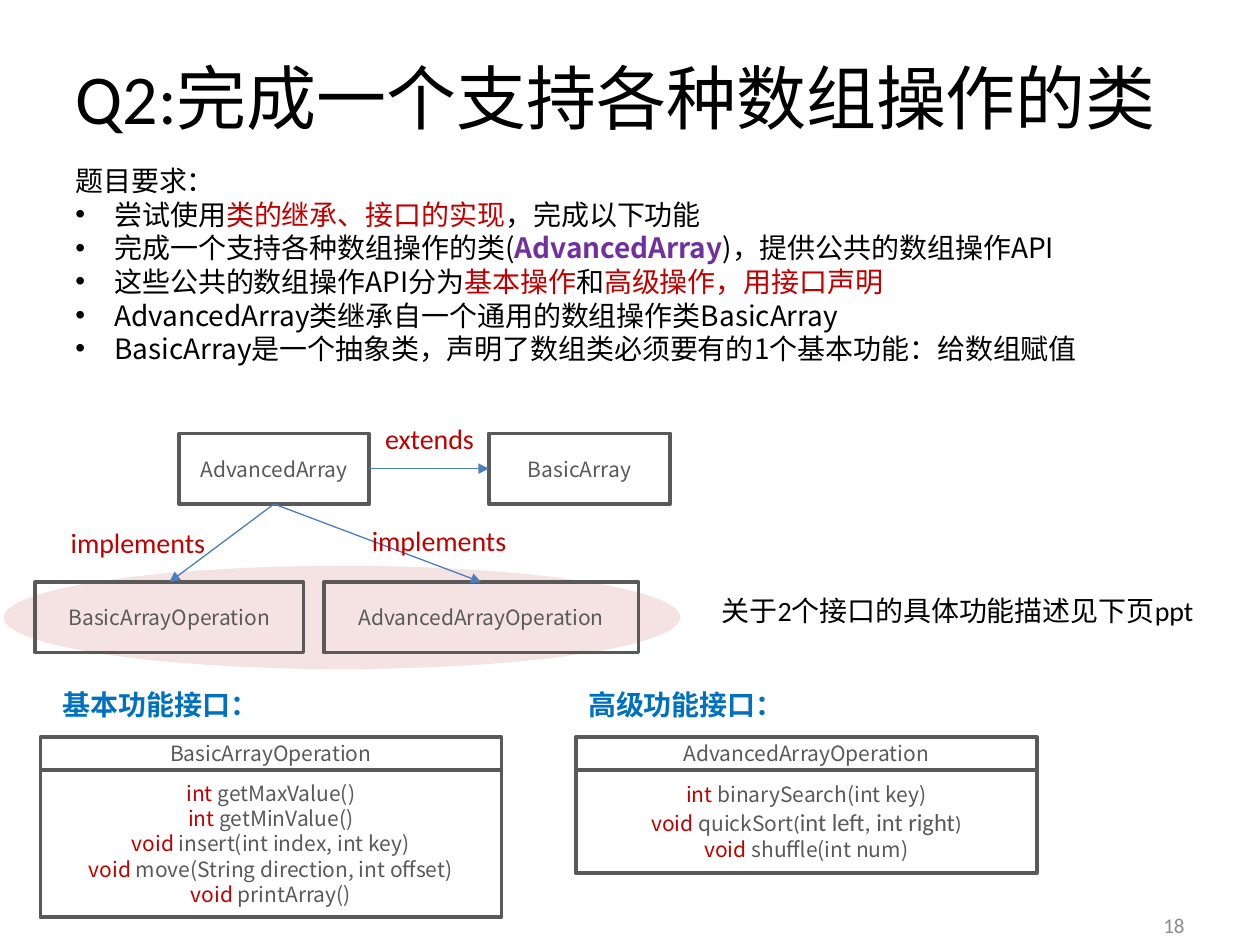
"""Build the slide on the array class exercise."""
from dataclasses import dataclass

import pptx
import pptx.dml.color
import pptx.enum.shapes
import pptx.enum.text
import pptx.oxml
import pptx.oxml.ns
import pptx.util

Inches = pptx.util.Inches
Align = pptx.enum.text.PP_ALIGN
Anchor = pptx.enum.text.MSO_ANCHOR
Shape = pptx.enum.shapes.MSO_SHAPE


@dataclass(frozen=True)
class Theme:
    """Hold the colours, fonts and type sizes."""
    black: str = "000000"
    gray: str = "595959"
    pale: str = "8C8C8C"
    red: str = "C00000"
    violet: str = "7030A0"
    blue: str = "0070C0"
    arrow: str = "4B7EBC"
    pink: str = "F2DCDB"
    latin: str = "Calibri"
    hans: str = "Noto Sans CJK SC"
    title: int = 40
    body: int = 16
    mid: int = 14
    small: int = 12


T = Theme()


def rgb(code):
    """Turn a hex code into a colour."""
    return pptx.dml.color.RGBColor.from_string(code)


def node(parent, tag, **attrs):
    """Append a drawing element to a parent."""
    child = pptx.oxml.parse_xml(f"<a:{tag} {pptx.oxml.ns.nsdecls('a')}/>")
    for key, value in attrs.items():
        child.set(key, value)
    parent.append(child)
    return child


def add_run(para, text, color, size, font=T.hans, bold=False):
    """Add one styled run to a paragraph."""
    run = para.add_run()
    run.text = text
    run.font.size = pptx.util.Pt(size)
    run.font.bold = bold
    run.font.color.rgb = rgb(color)
    run.font.name = font
    node(run.font._element, "ea", typeface=T.hans)


def set_lead(para, size):
    """Set a fixed line pitch for a type size."""
    para.line_spacing = pptx.util.Pt(size * 1.2)


def add_text(slide, box, text, color, size=T.body, font=T.latin,
             bold=False, align=Align.LEFT, anchor=Anchor.TOP):
    """Add a text box with one run."""
    area = slide.shapes.add_textbox(*map(Inches, box))
    frame = area.text_frame
    frame.word_wrap = True
    frame.vertical_anchor = anchor
    para = frame.paragraphs[0]
    para.alignment = align
    add_run(para, text, color, size, font, bold)
    if font == T.hans:
        set_lead(para, size)
    return frame


def add_box(slide, box, lines):
    """Add an outlined box with centred lines of runs."""
    rect = slide.shapes.add_shape(Shape.RECTANGLE, *map(Inches, box))
    rect.shadow.inherit = False
    rect.fill.background()
    rect.line.color.rgb = rgb(T.gray)
    rect.line.width = pptx.util.Pt(2)
    frame = rect.text_frame
    frame.word_wrap = True
    frame.vertical_anchor = Anchor.MIDDLE
    for index, runs in enumerate(lines):
        para = frame.add_paragraph() if index else frame.paragraphs[0]
        para.alignment = Align.CENTER
        for text, color, size, font in runs:
            add_run(para, text, color, size, font)
        set_lead(para, max(run[2] for run in runs))
    return rect


def label(text):
    """Give the lines of a box that holds one name."""
    return [[(text, T.gray, T.small, T.hans)]]


def method(kind, *parts):
    """Give the runs of one method line."""
    return [(kind + " ", T.red, T.small, T.hans),
            *((text, T.gray, size, font) for text, size, font in parts)]


def add_arrow(slide, start, out, end, into):
    """Join two boxes with an arrow."""
    link = slide.shapes.add_connector(
        pptx.enum.shapes.MSO_CONNECTOR.STRAIGHT, 0, 0, 0, 0)
    link.begin_connect(start, out)
    link.end_connect(end, into)
    link.line.color.rgb = rgb(T.arrow)
    link.line.width = pptx.util.Pt(0.75)
    node(link.line._get_or_add_ln(), "tailEnd", type="triangle")
    node(link._element.spPr, "effectLst")


def add_oval(slide, box):
    """Add the sheer oval behind the interfaces."""
    oval = slide.shapes.add_shape(Shape.OVAL, *map(Inches, box))
    oval.shadow.inherit = False
    oval.fill.solid()
    oval.fill.fore_color.rgb = rgb(T.pink)
    fill = oval._element.spPr.find(pptx.oxml.ns.qn("a:solidFill"))
    node(fill[0], "alpha", val="78000")
    oval.line.fill.background()


def add_title(slide, text):
    """Place and fill the title."""
    title = slide.shapes.title
    title.left, title.top, title.width, title.height = map(
        Inches, (0.5, 0.3, 9, 0.93))
    title.text_frame.vertical_anchor = Anchor.MIDDLE
    para = title.text_frame.paragraphs[0]
    para.alignment = Align.LEFT
    add_run(para, text, T.black, T.title, T.latin)


def add_list(slide, box, head, items):
    """Add a lead line and its bullets."""
    frame = add_text(slide, box, head, T.black, font=T.hans)
    for runs in items:
        para = frame.add_paragraph()
        set_lead(para, T.body)
        props = para._p.get_or_add_pPr()
        props.set("marL", str(Inches(0.31)))
        props.set("indent", str(-Inches(0.31)))
        node(props, "buFont", typeface="Arial")
        node(props, "buChar", char="•")
        for text, color in runs:
            add_run(para, text, color, T.body, bold=color == T.violet)


def add_card(slide, left, head, name, height, lines):
    """Add an interface card with its heading."""
    inset = 0.08 if left < 1 else 0
    add_text(slide, (left + inset, 5.41, 2.2, 0.37), head, T.blue,
             font=T.hans, bold=True)
    add_box(slide, (left, 5.85, 3.66, 0.26), label(name))
    add_box(slide, (left, 6.11, 3.66, height), lines)


def add_chart(slide):
    """Draw the class diagram."""
    add_oval(slide, (0.03, 4.49, 5.37, 0.82))
    main_box, base, plain, rich = (
        add_box(slide, (left, top, width, 0.56), label(name))
        for left, top, width, name in (
            (1.42, 3.44, 1.51, "AdvancedArray"),
            (3.88, 3.44, 1.44, "BasicArray"),
            (0.28, 4.62, 2.13, "BasicArrayOperation"),
            (2.57, 4.62, 2.5, "AdvancedArrayOperation")))
    add_arrow(slide, main_box, 3, base, 1)
    for end in (plain, rich):
        add_arrow(slide, main_box, 2, end, 0)
    for left, top, width, text in ((2.93, 3.3, 0.96, "extends"),
                                   (0.38, 4.12, 1.43, "implements"),
                                   (2.77, 4.11, 1.43, "implements")):
        add_text(slide, (left, top, width, 0.37), text, T.red,
                 align=Align.CENTER)


def main():
    """Build and save the slide."""
    deck = pptx.Presentation()
    deck.slide_width, deck.slide_height = Inches(10), Inches(7.5)
    slide = deck.slides.add_slide(deck.slide_layouts[5])
    add_title(slide, "Q2:完成一个支持各种数组操作的类")
    add_list(slide, (0.5, 1.25, 9.38, 1.72), "题目要求：", (
        (("尝试使用", T.black), ("类的继承、接口的实现", T.red),
         ("，完成以下功能", T.black)),
        (("完成一个支持各种数组操作的类(", T.black), ("AdvancedArray", T.violet),
         (")，提供公共的数组操作API", T.black)),
        (("这些公共的数组操作API分为", T.black), ("基本操作", T.red),
         ("和", T.black), ("高级操作，用接口声明", T.red)),
        (("AdvancedArray类继承自一个通用的数组操作类BasicArray", T.black),),
        (("BasicArray是一个抽象类，声明了数组类必须要有的1个基本功能：给数组赋值",
          T.black),)))
    add_chart(slide)
    add_text(slide, (5.63, 4.66, 4.56, 0.37),
             "关于2个接口的具体功能描述见下页ppt", T.black)
    basic = (("int", "getMaxValue()"), ("int", "getMinValue()"),
             ("void", "insert(int index, int key)"),
             ("void", "move(String direction, int offset)"),
             ("void", "printArray()"))
    add_card(slide, 0.32, "基本功能接口：", "BasicArrayOperation", 1.17,
             [method(kind, (text, T.small, T.hans)) for kind, text in basic])
    add_card(slide, 4.57, "高级功能接口：", "AdvancedArrayOperation", 0.82, [
        method("int", ("binarySearch(int key)", T.small, T.hans)),
        method("void", ("quickSort", T.small, T.hans),
               ("(", T.small, T.latin),
               ("int left, int right", T.mid, T.latin),
               (")", T.small, T.latin)),
        method("void", ("shuffle(int num)", T.small, T.hans))])
    add_text(slide, (7.17, 7.17, 2.33, 0.35), "18", T.pale, T.small,
             align=Align.RIGHT, anchor=Anchor.MIDDLE)
    deck.save("out.pptx")


if __name__ == "__main__":
    main()
